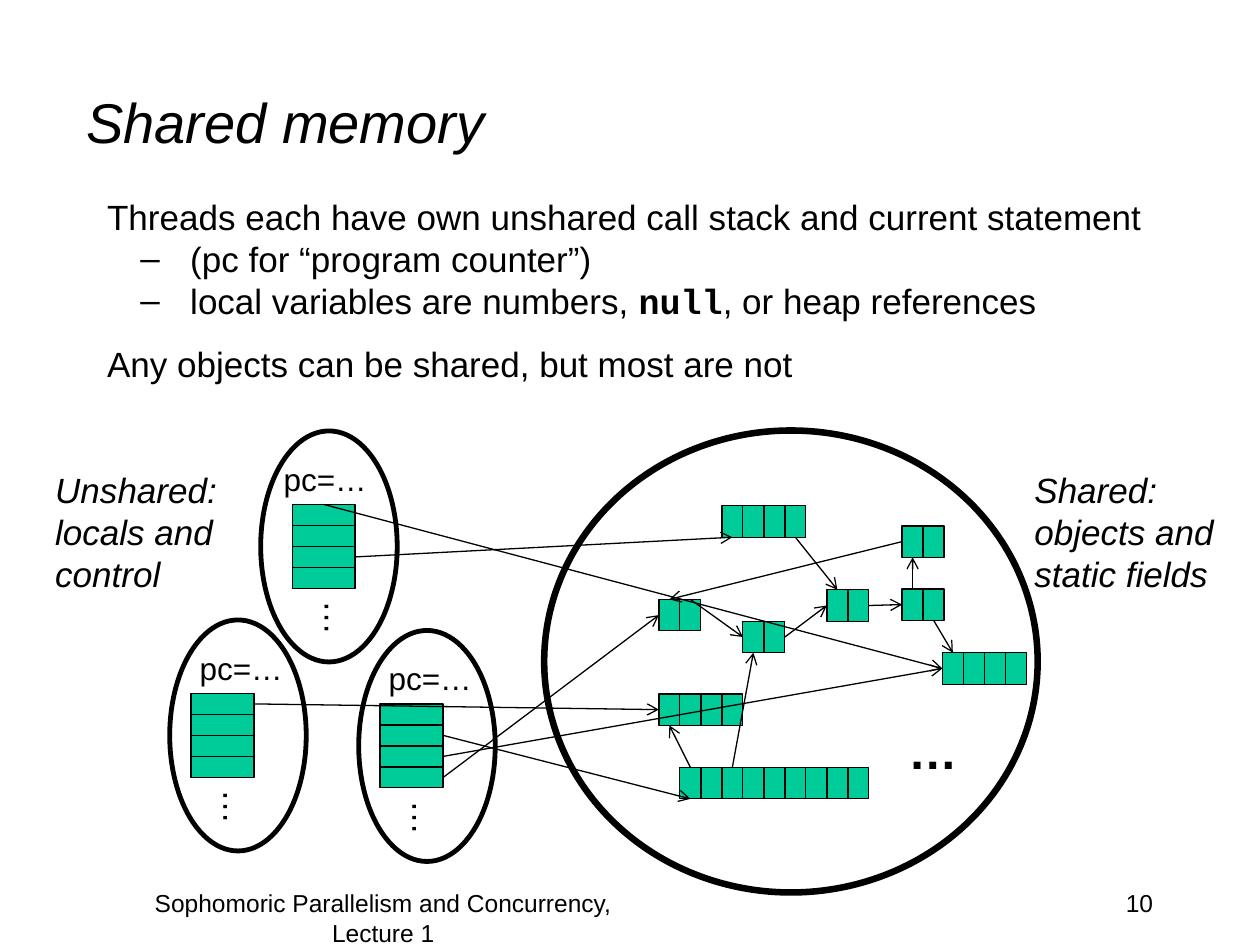
from pptx import Presentation
from pptx.dml.color import RGBColor
from pptx.enum import shapes, text
from pptx.oxml import ns, xmlchemy
from pptx.util import Pt

COLORS = {"ink": "000000", "cell": "00CC99"}
FONT, MONO = "Arial", "Courier New"
TOP, LEFT, BOTTOM, RIGHT = range(4)

# Heap objects: left, top, number of cells
HEAP = {
    "pair": (376.5, 342.5, 2),
    "quad": (376.5, 396.5, 4),
    "middle": (424.5, 355, 2),
    "upper": (472.5, 337, 2),
    "top": (412.5, 289, 4),
    "edge": (538.5, 373, 4),
    "long": (388.5, 438.5, 9),
    "right": (515.5, 336.5, 2),
    "corner": (515.5, 300.5, 2),
}

# Threads: oval left, oval top, stack inset, label inset
THREADS = {
    "t1": (149, 246.25, 18, 6),
    "t2": (97, 354.25, 12.25, 10),
    "t3": (205, 360.25, 12.25, 10),
}

# References: (owner, cell, side) to (owner, cell, side)
REFERENCES = [
    (("top", 3, BOTTOM), ("upper", 0, TOP)),
    (("pair", 1, TOP), ("middle", 0, LEFT)),
    (("middle", 1, RIGHT), ("upper", 0, LEFT)),
    (("long", 0, TOP), ("quad", 0, BOTTOM)),
    (("long", 2, TOP), ("middle", 0, BOTTOM)),
    (("upper", 1, RIGHT), ("right", 0, LEFT)),
    (("right", 0, TOP), ("corner", 0, BOTTOM)),
    (("corner", 0, LEFT), ("pair", 0, TOP)),
    (("right", 1, BOTTOM), ("edge", 0, TOP)),
    (("t1", 0, TOP), ("edge", 0, LEFT)),
    (("t1", 2, RIGHT), ("top", 0, BOTTOM)),
    (("t2", 0, RIGHT), ("quad", 0, LEFT)),
    (("t3", 1, RIGHT), ("long", 0, BOTTOM)),
    (("t3", 3, RIGHT), ("pair", 0, LEFT)),
    (("t3", 2, RIGHT), ("edge", 0, LEFT)),
]


def rgb(name):
    return RGBColor.from_string(COLORS[name])


def place(sp, box):
    sp.left, sp.top, sp.width, sp.height = (Pt(v) for v in box)


def add_run(p, words, size, bold=False, italic=False, font=FONT):
    r = p.add_run()
    r.text = words
    r.font.size, r.font.name = Pt(size), font
    r.font.bold, r.font.italic = bold, italic
    r.font.color.rgb = rgb("ink")


def add_text(s, box, lines, size, wrap=False, align=text.PP_ALIGN.LEFT,
             spacing=None, rotation=0, **style):
    sp = s.shapes.add_textbox(*(Pt(v) for v in box))
    sp.rotation = rotation
    tf = sp.text_frame
    tf.word_wrap = wrap
    for i, line in enumerate(lines):
        p = tf.paragraphs[0] if i == 0 else tf.add_paragraph()
        p.alignment = align
        if spacing:
            p.line_spacing = Pt(spacing)
        add_run(p, line, size, **style)


def add_shape(s, kind, box, line_width, fill=None):
    sp = s.shapes.add_shape(kind, *(Pt(v) for v in box))
    sp.shadow.inherit = False
    if fill:
        sp.fill.solid()
        sp.fill.fore_color.rgb = rgb(fill)
    else:
        sp.fill.background()
    sp.line.color.rgb = rgb("ink")
    sp.line.width = Pt(line_width)
    return sp


def add_cells(s, x, y, w, h, count, dx=0, dy=0):
    return [add_shape(s, shapes.MSO_SHAPE.RECTANGLE,
                      (x + i * dx, y + i * dy, w, h), 0.75, "cell")
            for i in range(count)]


def add_arrow(s, start, end):
    c = s.shapes.add_connector(shapes.MSO_CONNECTOR.STRAIGHT, 0, 0, 0, 0)
    c.begin_connect(*start)
    c.end_connect(*end)
    c.line.color.rgb = rgb("ink")
    c.line.width = Pt(0.75)
    tail = xmlchemy.OxmlElement("a:tailEnd")
    tail.set("type", "arrow")
    c.line._get_or_add_ln().append(tail)
    c._element.spPr.append(xmlchemy.OxmlElement("a:effectLst"))


def set_bullet(p, char=None, margin=0, indent=0):
    pPr = p._p.get_or_add_pPr()
    pPr.set("marL", str(Pt(margin)))
    pPr.set("indent", str(Pt(indent)))
    bullet = xmlchemy.OxmlElement("a:buChar" if char else "a:buNone")
    if char:
        bullet.set("char", char)
        font = xmlchemy.OxmlElement("a:buFont")
        font.set("typeface", FONT)
        pPr.append(font)
    pPr.append(bullet)


def fill_title(s, box):
    sp = s.shapes.title
    place(sp, box)
    tf = sp.text_frame
    tf.vertical_anchor = text.MSO_ANCHOR.MIDDLE
    p = tf.paragraphs[0]
    p.alignment = text.PP_ALIGN.LEFT
    add_run(p, "Shared memory", 32, italic=True)


def fill_body(s, box):
    sp = s.placeholders[1]
    place(sp, box)
    tf = sp.text_frame
    tf.auto_size = text.MSO_AUTO_SIZE.NONE
    # Level, space before, runs
    lines = [
        (0, 0, ["Threads each have own unshared call stack and current statement"]),
        (1, 0, ["(pc for “program counter”)"]),
        (1, 0, ["local variables are numbers, ", "null", ", or heap references"]),
        (0, 12, ["Any objects can be shared, but most are not"]),
    ]
    for i, (level, before, runs) in enumerate(lines):
        p = tf.paragraphs[0] if i == 0 else tf.add_paragraph()
        p.level = level
        p.line_spacing, p.space_before = Pt(24), Pt(before)
        if level:
            set_bullet(p, "–", 47.5, -28.5)
        else:
            set_bullet(p)
        for words in runs:
            code = words == "null"
            add_run(p, words, 20, bold=code, font=MONO if code else FONT)


def add_heap(s, box):
    add_shape(s, shapes.MSO_SHAPE.OVAL, box, 3.75)
    cells = {name: add_cells(s, x, y, 12, 18, count, dx=12)
             for name, (x, y, count) in HEAP.items()}
    x, y = box[:2]
    add_text(s, (x + 201, y + 162, 42.5, 41), ["…"], 28, bold=True)
    return cells


def add_thread(s, box, stack_inset, label_inset):
    x, y = box[:2]
    add_shape(s, shapes.MSO_SHAPE.OVAL, box, 2.75)
    add_text(s, (x + label_inset, y + 13, 62.6, 29), ["pc=…"], 18)
    stack = add_cells(s, x + stack_inset, y + 42, 36, 12, 4, dy=12)
    add_text(s, (x + stack_inset + 9, y + 91.5, 34.5, 31.5), ["…"], 20, rotation=90)
    return stack


def add_footer(s, box):
    x, y, w, h = box
    add_text(s, (x, y, 318, h), ["Sophomoric Parallelism and Concurrency, Lecture 1"],
             14, wrap=True, align=text.PP_ALIGN.CENTER)
    add_text(s, (x + w - 150, y, 150, h), ["10"], 14, wrap=True,
             align=text.PP_ALIGN.RIGHT)


def main():
    prs = Presentation()
    prs.slide_width, prs.slide_height = Pt(720), Pt(540)
    s = prs.slides.add_slide(prs.slide_layouts[1])

    # Wording
    fill_title(s, (42, 24, 612, 90))
    fill_body(s, (54, 108, 645, 116.5))
    add_footer(s, (60, 504, 606, 36))

    # Memory regions and the references between them
    cells = add_heap(s, (311, 246, 282, 264))
    for name, (x, y, stack_inset, label_inset) in THREADS.items():
        cells[name] = add_thread(s, (x, y, 78, 132), stack_inset, label_inset)
    for start, end in REFERENCES:
        add_arrow(s, *((cells[name][i], side) for name, i, side in (start, end)))

    # Region labels
    for x, w, lines in [(24.5, 111, ["Unshared:", "locals and", "control"]),
                        (584, 118, ["Shared:", "objects and", "static fields"])]:
        add_text(s, (x, 264, w, 80), lines, 20, spacing=24, italic=True)

    prs.save("out.pptx")


if __name__ == "__main__":
    main()
